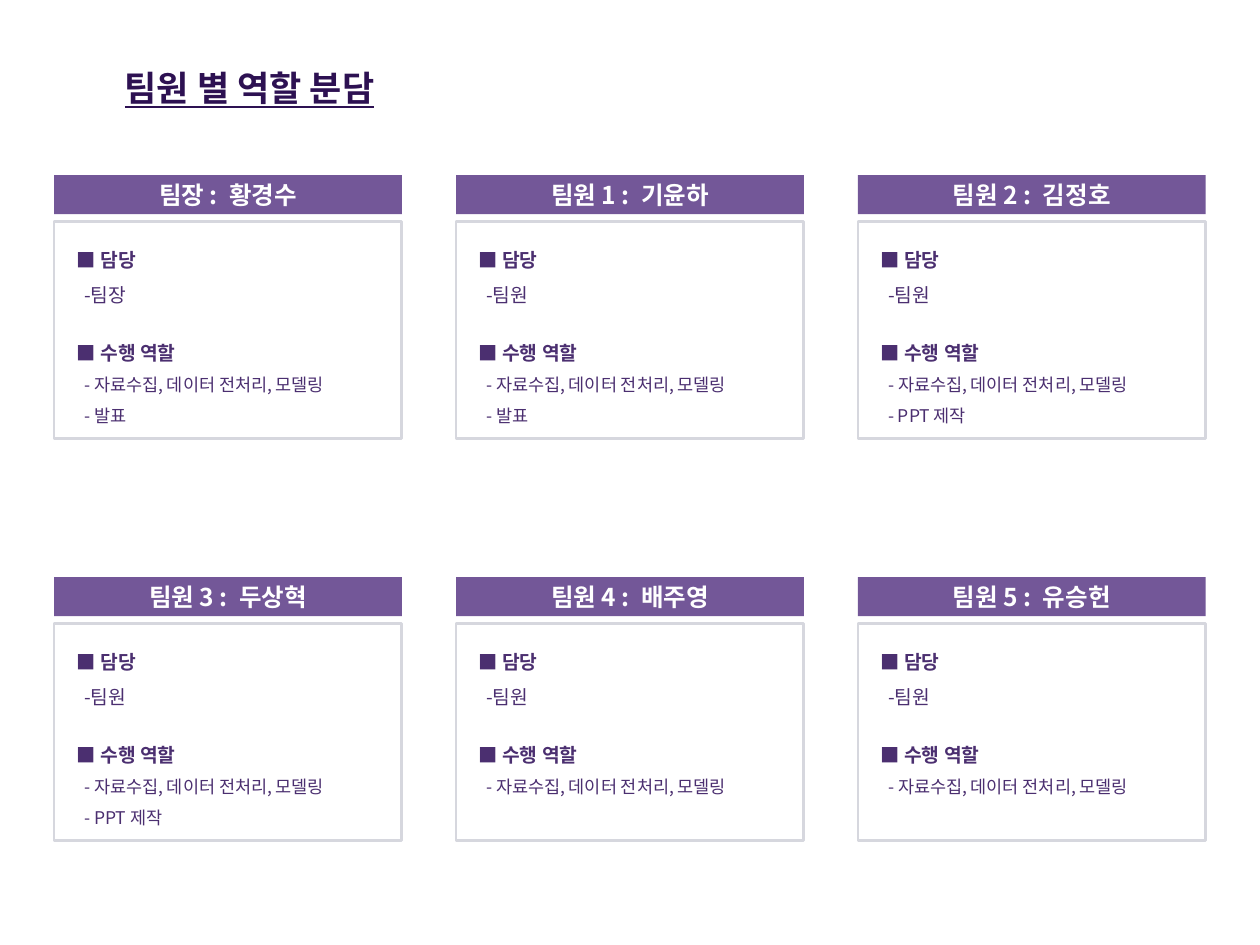
import pptx
import pptx.dml.color
import pptx.enum.shapes
import pptx.enum.text
import pptx.oxml.ns
import pptx.util
from lxml import etree

Inches, Pt = pptx.util.Inches, pptx.util.Pt
RGBColor = pptx.dml.color.RGBColor
ALIGN, ANCHOR = pptx.enum.text.PP_ALIGN, pptx.enum.text.MSO_ANCHOR
RECTANGLE = pptx.enum.shapes.MSO_SHAPE.RECTANGLE

TITLE = RGBColor(0x2D, 0x11, 0x52)
HEADER = RGBColor(0x73, 0x57, 0x98)
BODY = RGBColor(0x4B, 0x2F, 0x70)
BORDER = RGBColor(0xD6, 0xD7, 0xDE)
WHITE = RGBColor(0xFF, 0xFF, 0xFF)
KOREAN_FONT = "Noto Sans CJK KR"

LEFT, TOP, PITCH, COLUMNS = 0.43, 1.39, 3.19, 3
CARD_WIDTH = 2.76
SHARED_TASK = "자료수집, 데이터 전처리, 모델링"
MEMBERS = [
    ("팀장 :  황경수", "팀장", ["- 발표"]),
    ("팀원 1 :  기윤하", "팀원", ["- 발표"]),
    ("팀원 2 :  김정호", "팀원", ["- PPT 제작"]),
    ("팀원 3 :  두상혁", "팀원", ["- PPT 제작"]),
    ("팀원 4 :  배주영", "팀원", []),
    ("팀원 5 :  유승헌", "팀원", []),
]


def apply(target, values):
    """Set every attribute named in the dict of format values."""
    for name, value in values.items():
        setattr(target, name, value)


class RolePage:
    """Holds the current slide and the style of its elements."""

    heading = {"size": Pt(11), "bold": True}
    duty = {"size": Pt(11), "bold": False}
    task = {"size": Pt(10), "bold": False}

    def __init__(self, deck):
        """Add a title-only slide to the deck."""
        self.page = deck.slides.add_slide(deck.slide_layouts[5])

    def add_span(self, para, text, color, font=KOREAN_FONT, **values):
        """Add one formatted run to a paragraph."""
        span = para.add_run()
        span.text = text
        apply(span.font, {"name": font, **values})
        span.font.color.rgb = color
        if font == KOREAN_FONT:
            properties = span._r.get_or_add_rPr()
            east_asian = etree.SubElement(properties, pptx.oxml.ns.qn("a:ea"))
            east_asian.set("typeface", font)

    def title(self, text):
        """Place and format the title placeholder."""
        box = self.page.shapes.title
        apply(box, {"left": Inches(0.89), "top": Inches(0.48),
                    "width": Inches(2.46), "height": Inches(0.44)})
        apply(box.text_frame, {"word_wrap": True, "vertical_anchor": ANCHOR.TOP})
        para = box.text_frame.paragraphs[0]
        para.alignment = ALIGN.LEFT
        self.add_span(para, text, TITLE, "Arial", size=Pt(20), bold=True, underline=True)

    def rectangle(self, group, left, top, height):
        """Add a plain rectangle of card width to a group."""
        box = group.shapes.add_shape(RECTANGLE, Inches(left), Inches(top),
                                     Inches(CARD_WIDTH), Inches(height))
        box.shadow.inherit = False
        return box

    def frame(self, left, top, name):
        """Draw a grouped header bar and outlined card."""
        group = self.page.shapes.add_group_shape()
        bar = self.rectangle(group, left, top, 0.31)
        bar.fill.solid()
        bar.fill.fore_color.rgb = HEADER
        bar.line.fill.background()
        bar.text_frame.vertical_anchor = ANCHOR.MIDDLE
        para = bar.text_frame.paragraphs[0]
        para.alignment = ALIGN.CENTER
        self.add_span(para, name, WHITE, size=Pt(14), bold=True)

        card = self.rectangle(group, left, top + 0.37, 1.72)
        card.fill.background()
        card.line.color.rgb = BORDER
        card.line.width = Pt(1.5)

    def roles(self, left, top, duty, tasks):
        """Add the duty and task lists of one member."""
        lines = [("■ 담당", self.heading, 20, 0), ("-" + duty, self.duty, 20, 0),
                 ("■ 수행 역할", self.heading, 20, 12.7)]
        lines += [(text, self.task, 17.7, 0) for text in ["- " + SHARED_TASK] + tasks]
        height = 1.59 if tasks else 1.34
        box = self.page.shapes.add_textbox(Inches(left + 0.08), Inches(top + 0.44),
                                           Inches(2.64), Inches(height))
        box.text_frame.word_wrap = True
        for number, (text, style, spacing, gap) in enumerate(lines):
            para = box.text_frame.add_paragraph() if number else box.text_frame.paragraphs[0]
            apply(para, {"line_spacing": Pt(spacing), "space_before": Pt(gap)})
            if style is not self.heading:
                para._p.get_or_add_pPr().set("marL", str(Inches(0.06)))
            self.add_span(para, text, BODY, **style)


def main():
    """Build and save the slide."""
    deck = pptx.Presentation()
    apply(deck, {"slide_width": Inches(10), "slide_height": Inches(7.5)})
    page = RolePage(deck)
    page.title("팀원 별 역할 분담")
    for number, (name, duty, tasks) in enumerate(MEMBERS):
        row, column = divmod(number, COLUMNS)
        left, top = LEFT + column * PITCH, TOP + row * PITCH
        page.frame(left, top, name)
        page.roles(left, top, duty, tasks)
    deck.save("out.pptx")


main()
